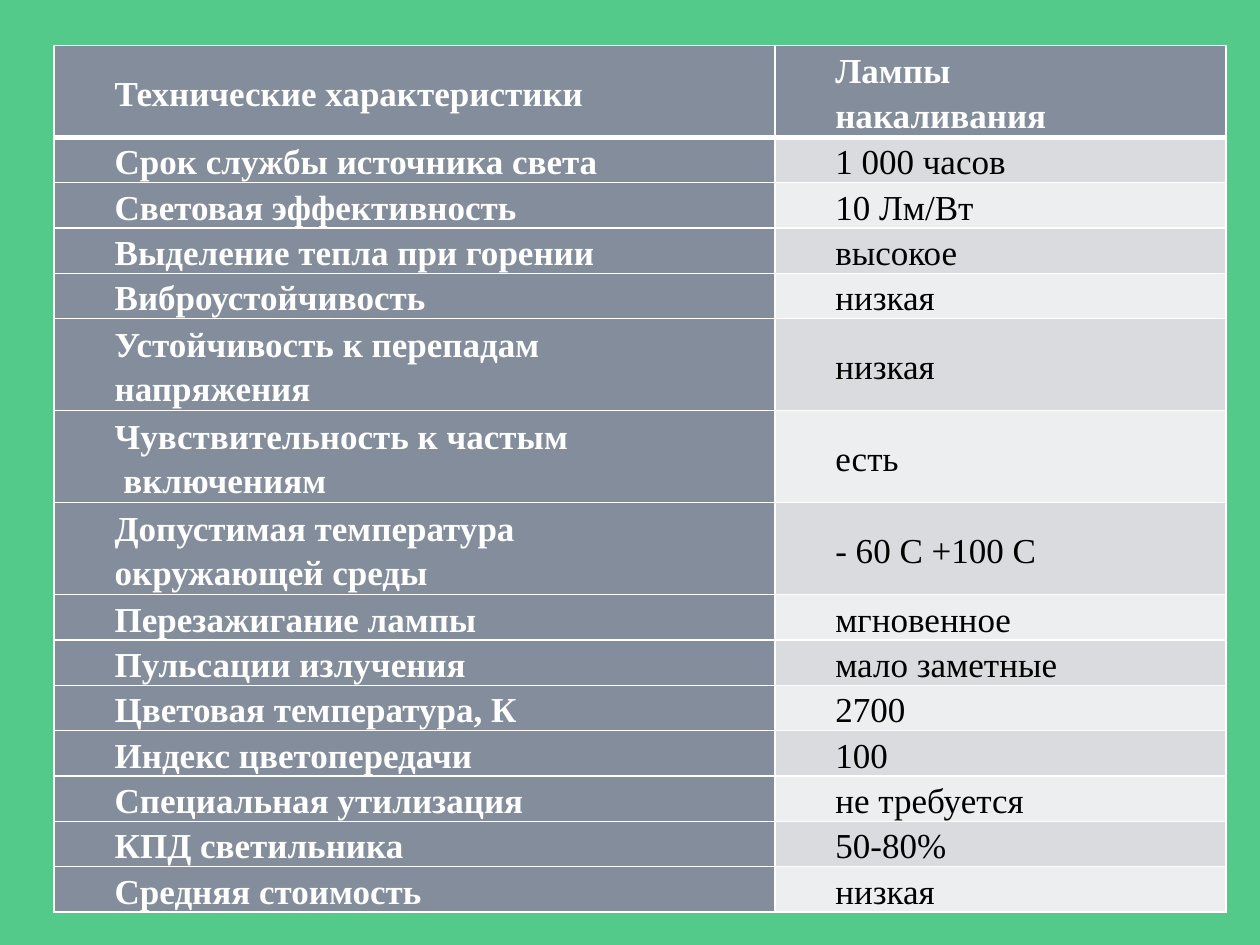
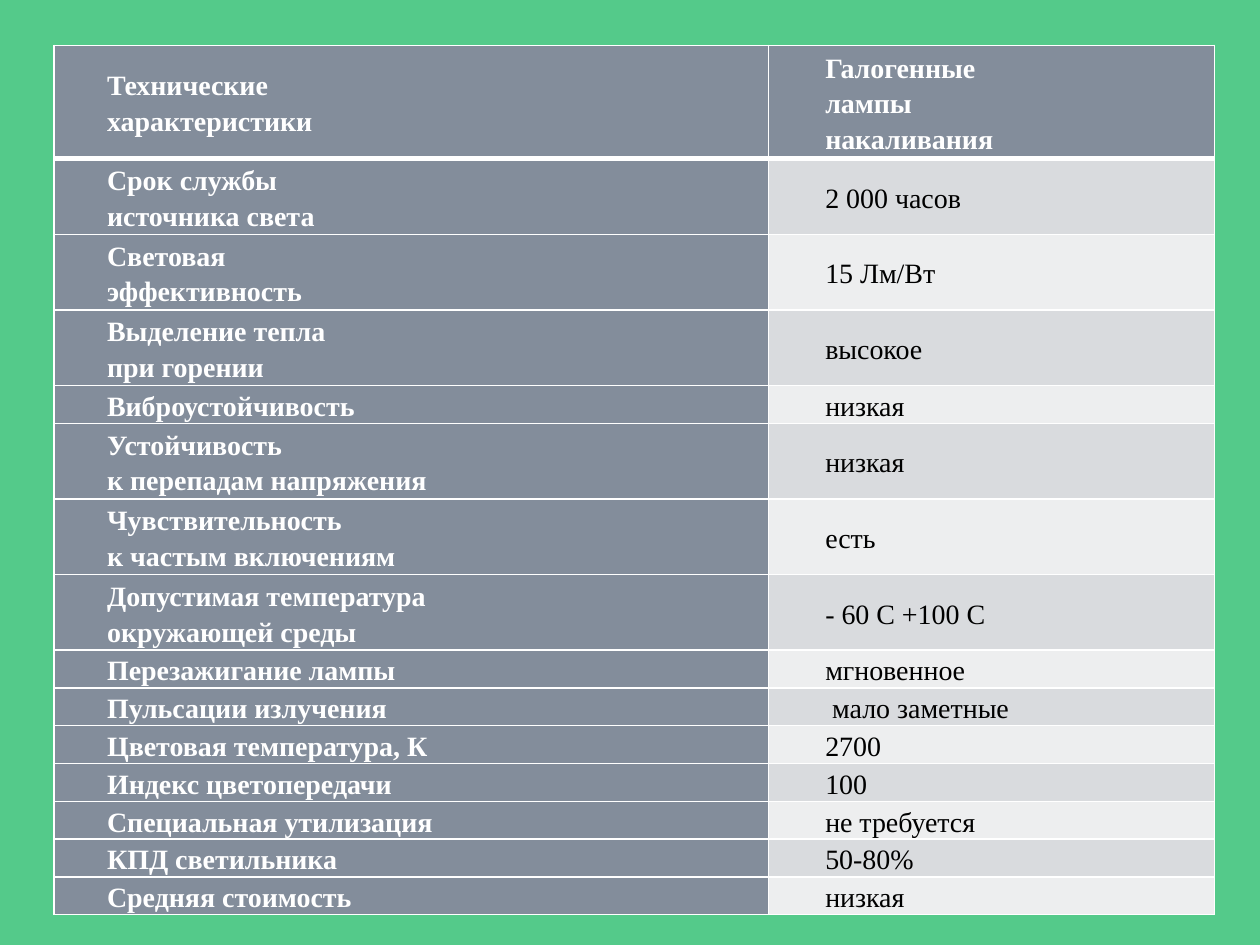
import pptx
import pptx.dml.color
import pptx.enum.text
import pptx.oxml
import pptx.oxml.ns
import pptx.util
from lxml import etree

Inches, Pt = pptx.util.Inches, pptx.util.Pt
COLORS = {"background": "54CA8A", "label": "838D9B", "odd": "D9DBDE",
          "even": "EDEEEF", "white": "FFFFFF", "black": "000000"}
FONT = "Times New Roman"
TABLE_LEFT, TABLE_TOP = 0.43, 0.36


def common_rows(pulsation):
    """Return the closing rows that both lamp types share."""
    return [
        ("Допустимая температура\nокружающей среды", "- 60 C +100 C"),
        ("Перезажигание лампы", "мгновенное"),
        ("Пульсации излучения", pulsation),
        ("Цветовая температура, К", "2700"),
        ("Индекс цветопередачи", "100"),
        ("Специальная утилизация", "не требуется"),
        ("КПД светильника", "50-80%"),
        ("Средняя стоимость", "низкая"),
    ]


INCANDESCENT = [
    ("Технические характеристики", "Лампы\nнакаливания"),
    ("Срок службы источника света", "1 000 часов"),
    ("Световая эффективность", "10 Лм/Вт"),
    ("Выделение тепла при горении", "высокое"),
    ("Виброустойчивость", "низкая"),
    ("Устойчивость к перепадам\nнапряжения", "низкая"),
    ("Чувствительность к частым\n включениям", "есть"),
] + common_rows("мало заметные")

HALOGEN = [
    ("Технические\nхарактеристики", "Галогенные\nлампы\nнакаливания"),
    ("Срок службы\nисточника света", "2 000 часов"),
    ("Световая\nэффективность", "15 Лм/Вт"),
    ("Выделение тепла\nпри горении", "высокое"),
    ("Виброустойчивость", "низкая"),
    ("Устойчивость\nк перепадам напряжения", "низкая"),
    ("Чувствительность\nк частым включениям", "есть"),
] + common_rows(" мало заметные")


def rgb(name):
    """Return a palette colour."""
    return pptx.dml.color.RGBColor.from_string(COLORS[name])


def set_borders(cell, top, bottom):
    """Draw white cell borders with the given top and bottom widths in points."""
    tc_pr = cell._tc.get_or_add_tcPr()
    for side, width in (("L", 1), ("R", 1), ("T", top), ("B", bottom)):
        ln = etree.SubElement(tc_pr, pptx.oxml.ns.qn(f"a:ln{side}"), w=str(Pt(width)))
        fill = etree.SubElement(ln, pptx.oxml.ns.qn("a:solidFill"))
        etree.SubElement(fill, pptx.oxml.ns.qn("a:srgbClr"), val=COLORS["white"])


def format_cell(cell, text, size, margin, indent, fill, strong):
    """Fill one cell with its paragraphs and colours."""
    cell.margin_left = cell.margin_right = cell.margin_top = cell.margin_bottom = 0
    cell.vertical_anchor = pptx.enum.text.MSO_ANCHOR.MIDDLE
    cell.fill.solid()
    cell.fill.fore_color.rgb = rgb(fill)
    cell.text_frame.text = text
    for p in cell.text_frame.paragraphs:
        p_pr = p._p.get_or_add_pPr()
        p_pr.set("marL", str(Inches(margin)))
        p_pr.set("indent", str(Inches(indent)))
        p.line_spacing = 1.15
        p.font.name = FONT
        p.font.size = Pt(size)
        p.font.bold = strong
        p.font.color.rgb = rgb("white" if strong else "black")


def add_lamp_slide(prs, rows, widths, heights, size, insets):
    """Add a slide with the characteristics table of one lamp type."""
    s = prs.slides.add_slide(prs.slide_layouts[6])
    row_heights = [heights[max(text.count("\n") for text in row)] for row in rows]
    table = s.shapes.add_table(
        len(rows), len(widths), Inches(TABLE_LEFT), Inches(TABLE_TOP),
        Inches(sum(widths)), Inches(sum(row_heights))).table
    for column, width in zip(table.columns, widths):
        column.width = Inches(width)
    for i, (row, height) in enumerate(zip(rows, row_heights)):
        table.rows[i].height = Inches(height)
        for j, text in enumerate(row):
            cell = table.cell(i, j)
            strong = i == 0 or j == 0
            fill = "label" if strong else ("odd" if i % 2 else "even")
            set_borders(cell, 3 if i == 1 else 1, 3 if i == 0 else 1)
            format_cell(cell, text, size, *insets[j], fill, strong)


def main():
    """Build the deck of lamp characteristics."""
    prs = pptx.Presentation()
    prs.slide_width, prs.slide_height = Inches(10), Inches(7.5)
    background = prs.slide_master.background.fill
    background.solid()
    background.fore_color.rgb = rgb("background")
    add_lamp_slide(prs, INCANDESCENT, (5.72, 3.58), (0.36, 0.73), 20,
                   ((0.48, 0), (0.48, 0)))
    add_lamp_slide(prs, HALOGEN, (5.67, 3.54), (0.3, 0.6, 0.9), 16,
                   ((0, 0.42), (0, 0.45)))
    prs.save("out.pptx")


if __name__ == "__main__":
    main()
